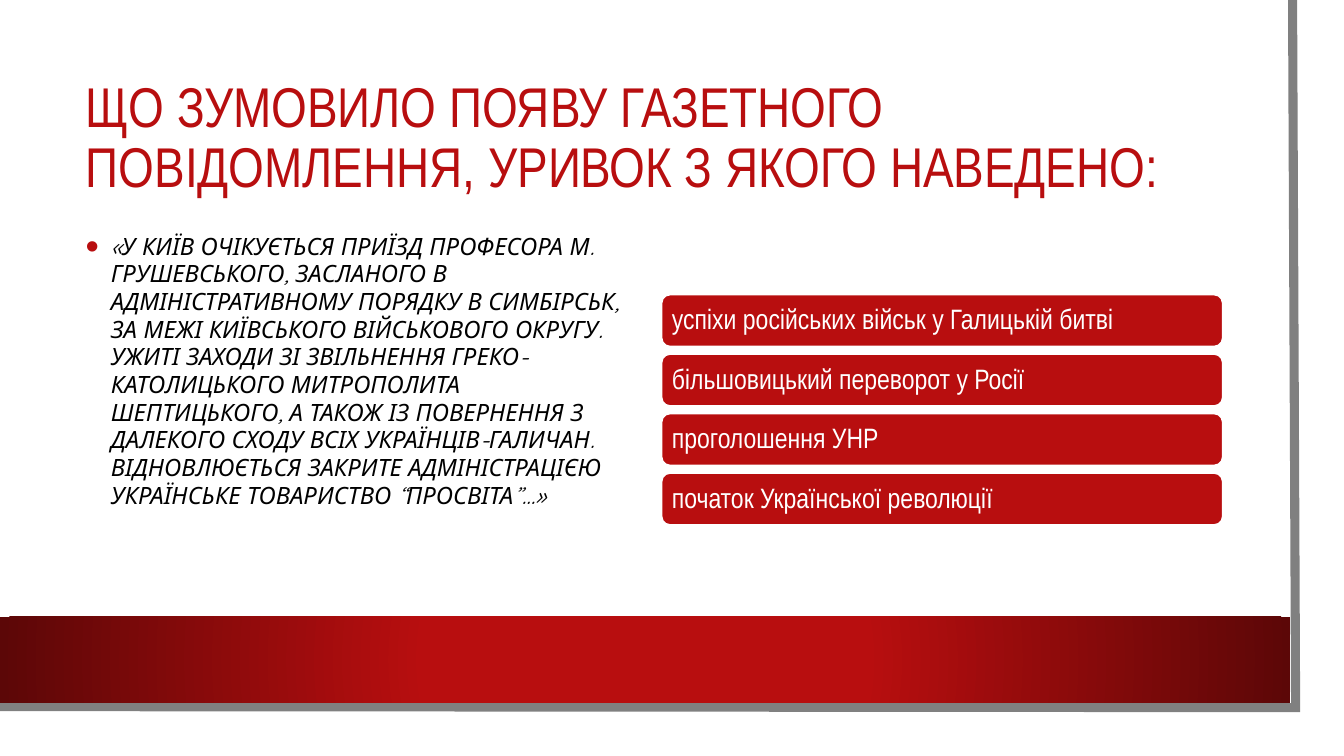
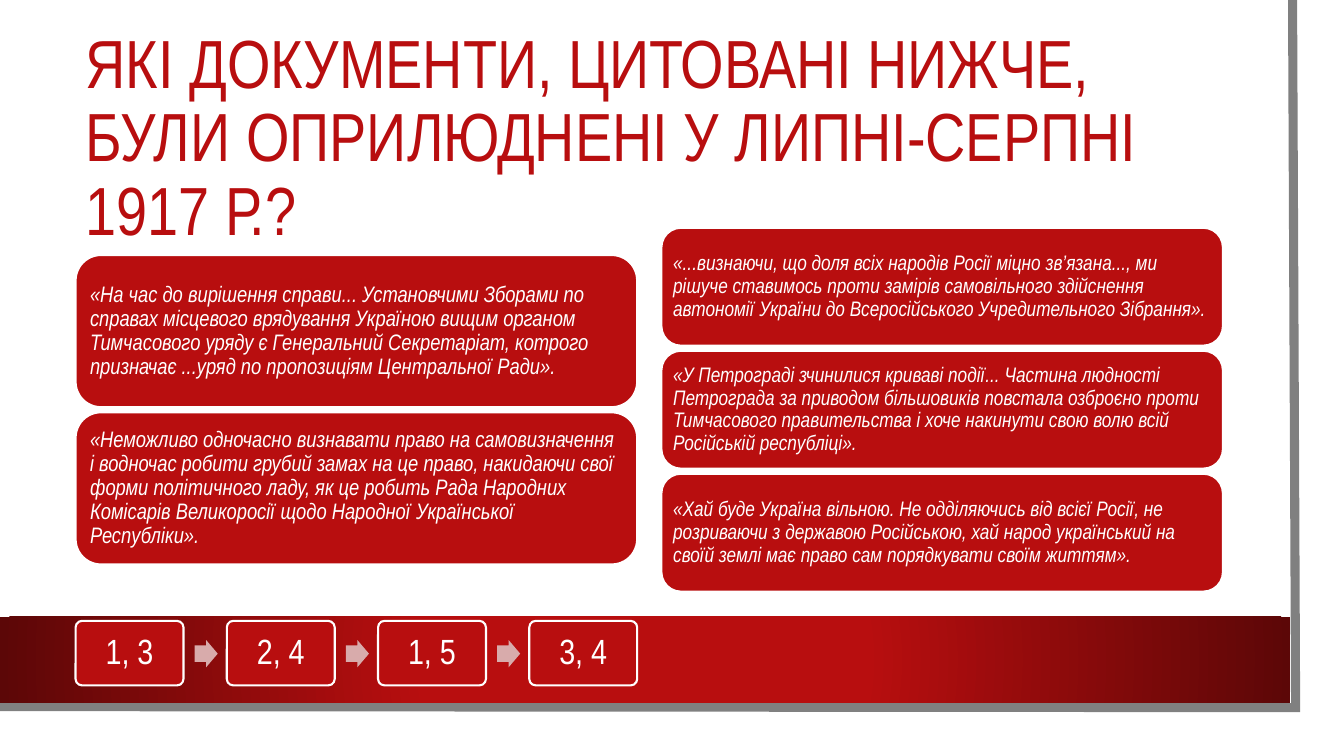
from lxml import etree
from pptx import Presentation
from pptx.dml.color import RGBColor
from pptx.enum import shapes, text
from pptx.oxml import parse_xml
from pptx.oxml.ns import nsdecls, qn
from pptx.util import Inches, Pt

RED = RGBColor(0xB8, 0x0E, 0x0F)
DARK_RED = RGBColor(0x5C, 0x07, 0x07)
PINK = RGBColor(0xD8, 0xAB, 0xAB)
GRAY = RGBColor(0x80, 0x80, 0x80)
WHITE = RGBColor(0xFF, 0xFF, 0xFF)
BLACK = RGBColor(0, 0, 0)
FONT = "Arial Narrow"
QUOTE_FONT = "Quicksand"
LEFT, RIGHT, COLUMN = 0.75, 6.56, 5.57

NEWS = (
    "«У КИЇВ ОЧІКУЄТЬСЯ ПРИЇЗД ПРОФЕСОРА М. ГРУШЕВСЬКОГО, ЗАСЛАНОГО В "
    "АДМІНІСТРАТИВНОМУ ПОРЯДКУ В СИМБІРСЬК, ЗА МЕЖІ КИЇВСЬКОГО ВІЙСЬКОВОГО "
    "ОКРУГУ. УЖИТІ ЗАХОДИ ЗІ ЗВІЛЬНЕННЯ ГРЕКО-КАТОЛИЦЬКОГО МИТРОПОЛИТА "
    "ШЕПТИЦЬКОГО, А ТАКОЖ ІЗ ПОВЕРНЕННЯ З ДАЛЕКОГО СХОДУ ВСІХ "
    "УКРАЇНЦІВ-ГАЛИЧАН. ВІДНОВЛЮЄТЬСЯ ЗАКРИТЕ АДМІНІСТРАЦІЄЮ УКРАЇНСЬКЕ "
    "ТОВАРИСТВО “ПРОСВІТА”…»"
)
CAUSES = [
    "успіхи російських військ у Галицькій битві",
    "більшовицький переворот у Росії",
    "проголошення УНР",
    "початок Української революції",
]
LEFT_QUOTES = [
    "«На час до вирішення справи... Установчими Зборами по справах місцевого "
    "врядування Україною вищим органом Тимчасового уряду є Генеральний "
    "Секретаріат, котрого призначає ...уряд по пропозиціям Центральної Ради».",
    "«Неможливо одночасно визнавати право на самовизначення і водночас робити "
    "грубий замах на це право, накидаючи свої форми політичного ладу, як це "
    "робить Рада Народних Комісарів Великоросії щодо Народної Української "
    "Республіки».",
]
RIGHT_QUOTES = [
    "«...визнаючи, що доля всіх народів Росії міцно зв’язана..., ми рішуче "
    "ставимось проти замірів самовільного здійснення автономії України до "
    "Всеросійського Учредительного Зібрання».",
    "«У Петрограді зчинилися криваві події... Частина людності Петрограда за "
    "приводом більшовиків повстала озброєно проти Тимчасового правительства і "
    "хоче накинути свою волю всій Російській республіці».",
    "«Хай буде Україна вільною. Не одділяючись від всієї Росії, не розриваючи "
    "з державою Російською, хай народ український на своїй землі має право сам "
    "порядкувати своїм життям».",
]
ANSWERS = ["1, 3", "2, 4", "1, 5", "3, 4"]


def place(shape, left, top, width, height):
    """Move and size a shape, in inches."""
    shape.left, shape.top = Inches(left), Inches(top)
    shape.width, shape.height = Inches(width), Inches(height)


def write(shape, words, size, color, font=FONT, italic=False, spacing=0.9):
    """Put one formatted paragraph into a shape and return it."""
    frame = shape.text_frame
    frame.text = words
    frame.word_wrap = True
    frame.auto_size = text.MSO_AUTO_SIZE.NONE
    paragraph = frame.paragraphs[0]
    paragraph.line_spacing = spacing
    paragraph.space_before = Pt(0)
    paragraph.alignment = text.PP_ALIGN.LEFT
    for run in paragraph.runs:
        run.font.name, run.font.size = font, Pt(size)
        run.font.italic = italic
        run.font.color.rgb = color
    return paragraph


def add_solid(slide, kind, left, top, width, height, color):
    """Add a flat preset shape without outline or shadow."""
    shape = slide.shapes.add_shape(
        kind, Inches(left), Inches(top), Inches(width), Inches(height))
    shape.shadow.inherit = False
    shape.fill.solid()
    shape.fill.fore_color.rgb = color
    shape.line.fill.background()
    return shape


def add_band(slide):
    """Add the bottom band, red in the centre and dark at its ends."""
    band = add_solid(slide, shapes.MSO_SHAPE.RECTANGLE, 0, 6.12, 12.8, 0.85, RED)
    gradient = parse_xml(
        f'<a:gradFill {nsdecls("a")} rotWithShape="1"><a:gsLst>'
        f'<a:gs pos="34000"><a:srgbClr val="{RED}"/></a:gs>'
        f'<a:gs pos="100000"><a:srgbClr val="{DARK_RED}"/></a:gs></a:gsLst>'
        '<a:path path="circle"><a:fillToRect l="50000" t="50000" r="50000" '
        'b="50000"/></a:path></a:gradFill>')
    properties = band.element.spPr
    properties.replace(properties.find(qn("a:solidFill")), gradient)
    return band


def add_edge(slide):
    """Add the gray page edge along the right and bottom."""
    builder = slide.shapes.build_freeform(Inches(12.82), 0)
    builder.add_line_segments(
        [(Inches(12.85), Inches(7.02)), (Inches(-0.03), Inches(7.01))], close=False)
    edge = builder.convert_to_shape()
    edge.shadow.inherit = False
    edge.fill.background()
    edge.line.color.rgb = GRAY
    edge.line.width = Pt(6.5)
    outline = edge.element.spPr.find(qn("a:ln"))
    etree.SubElement(outline, qn("a:miter"), lim="800000")
    return edge


def move_backdrop_to_master(prs, slide):
    """Draw the page, its edge and band, and hand them to the slide master."""
    page = add_solid(slide, shapes.MSO_SHAPE.RECTANGLE, 0, 0, 13.1, 7.27, WHITE)
    first_placeholder = prs.slide_master.placeholders[0].element
    for part in (page, add_edge(slide), add_band(slide)):
        first_placeholder.addprevious(part.element)


def set_title(slide, words, size):
    """Fill and place the slide title."""
    title = slide.shapes.title
    place(title, LEFT, 0.75, 11.37, 1.27)
    title.text_frame.vertical_anchor = text.MSO_ANCHOR.MIDDLE
    write(title, words, size, RED)


def set_excerpt(slide, words):
    """Fill the body placeholder with one bulleted quotation."""
    body = slide.placeholders[1]
    place(body, LEFT, 2.26, COLUMN, 3.62)
    body.text_frame.vertical_anchor = text.MSO_ANCHOR.TOP
    paragraph = write(body, words, 17, BLACK, QUOTE_FONT, True, 0.97)
    properties = paragraph._p.get_or_add_pPr()
    properties.set("marL", str(Inches(0.25)))
    properties.set("indent", str(Inches(-0.25)))
    color = etree.SubElement(properties, qn("a:buClr"))
    etree.SubElement(color, qn("a:srgbClr"), val=str(RED))
    etree.SubElement(properties, qn("a:buSzPct"), val="160000")
    etree.SubElement(properties, qn("a:buFont"), typeface="Arial")
    etree.SubElement(properties, qn("a:buChar"), char="•")


def add_card(slide, words, box, size, inset, italic=False):
    """Add a red rounded card with white text."""
    card = add_solid(slide, shapes.MSO_SHAPE.ROUNDED_RECTANGLE, *box, RED)
    card.line.color.rgb = WHITE
    card.line.width = Pt(1.5)
    frame = card.text_frame
    frame.margin_left = frame.margin_right = Inches(inset)
    frame.margin_top = frame.margin_bottom = Inches(inset)
    frame.vertical_anchor = text.MSO_ANCHOR.MIDDLE
    write(card, words, size, WHITE, italic=italic)
    return card


def add_stack(slide, items, left, top, height, gap, size, inset, italic=False):
    """Stack equal cards in one column."""
    for row, words in enumerate(items):
        box = (left, top + row * (height + gap), COLUMN, height)
        add_card(slide, words, box, size, inset, italic)


def add_answer_chain(slide, answers):
    """Add a row of answer cards joined by block arrows."""
    for column, words in enumerate(answers):
        left = LEFT + column * 1.5
        if column:
            arrow = add_solid(slide, shapes.MSO_SHAPE.RIGHT_ARROW,
                              left - 0.32, 6.35, 0.23, 0.27, PINK)
            arrow.adjustments[0] = 0.6
        card = add_card(slide, words, (left, 6.16, 1.07, 0.64), 25, 0.1)
        card.adjustments[0] = 0.1
        card.text_frame.paragraphs[0].alignment = text.PP_ALIGN.CENTER


def main():
    """Build and save the two quiz slides."""
    prs = Presentation()
    prs.slide_width, prs.slide_height = Inches(13.33), Inches(7.5)

    news = prs.slides.add_slide(prs.slide_layouts[1])
    move_backdrop_to_master(prs, news)
    set_title(news, "ЩО ЗУМОВИЛО ПОЯВУ ГАЗЕТНОГО ПОВІДОМЛЕННЯ, "
                    "УРИВОК З ЯКОГО НАВЕДЕНО:", 40)
    set_excerpt(news, NEWS)
    add_stack(news, CAUSES, RIGHT, 2.92, 0.52, 0.07, 20, 0.08)

    documents = prs.slides.add_slide(prs.slide_layouts[5])
    set_title(documents, "ЯКІ ДОКУМЕНТИ, ЦИТОВАНІ НИЖЧЕ, БУЛИ ОПРИЛЮДНЕНІ "
                         "У ЛИПНІ-СЕРПНІ 1917 Р.?", 48.6)
    add_stack(documents, LEFT_QUOTES, LEFT, 2.53, 1.51, 0.05, 16, 0.07, True)
    add_stack(documents, RIGHT_QUOTES, RIGHT, 2.26, 1.17, 0.05, 15, 0.06, True)
    add_answer_chain(documents, ANSWERS)

    prs.save("out.pptx")


if __name__ == "__main__":
    main()
